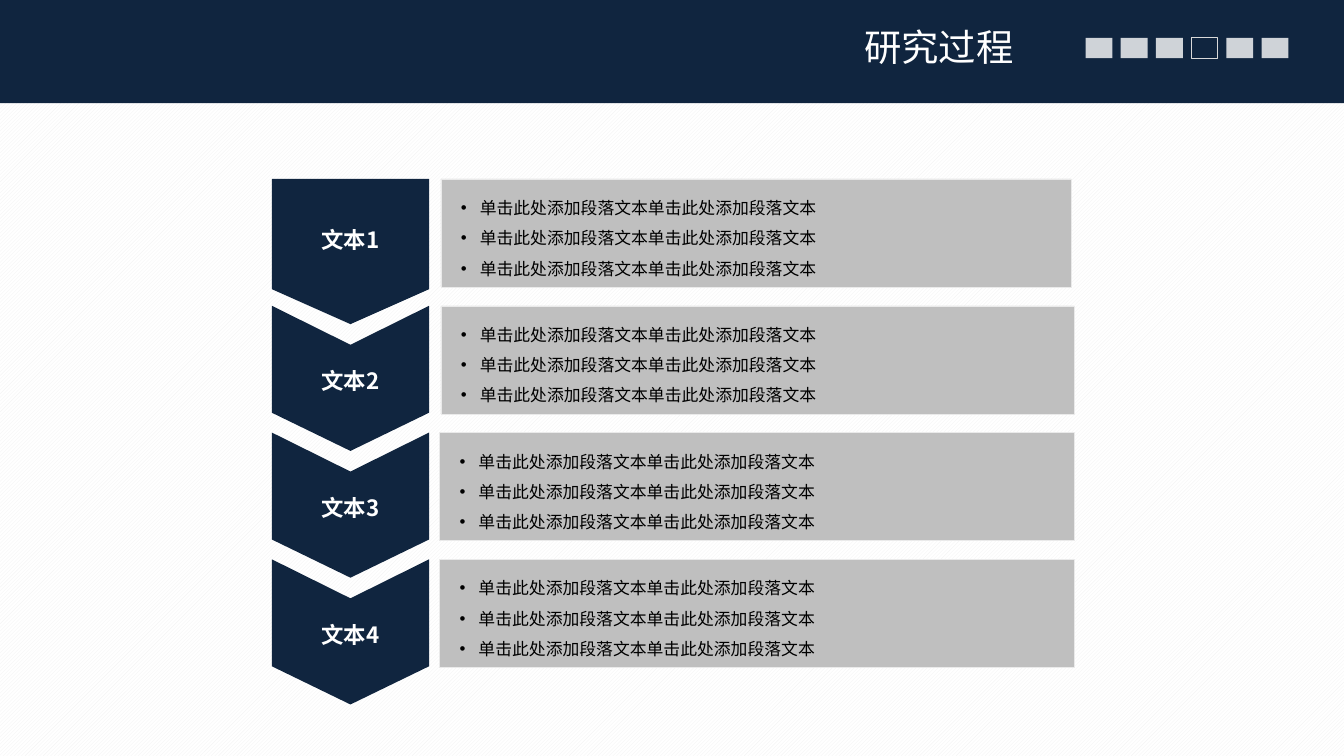
"""Build a research-process slide with four chevron steps and bullet panels."""
from dataclasses import dataclass

from lxml import etree
from pptx import Presentation
from pptx import util as u
from pptx.dml.color import RGBColor
from pptx.enum import dml, shapes, text
from pptx.oxml.ns import qn

WIDTH = u.Inches(10)
HEIGHT = u.Emu(WIDTH * 9 // 16)


@dataclass(frozen=True)
class Theme:
    """Colours, font and type sizes."""
    navy: str = "10253F"
    panel: str = "BFBFBF"
    panel_edge: str = "EAEAEA"
    marker_edge: str = "D9D9D9"
    white: str = "FFFFFF"
    black: str = "000000"
    stripe: str = "F2F2F2"
    font: str = "Noto Sans CJK SC"
    title: float = 20
    label: float = 12
    body: float = 9


@dataclass(frozen=True)
class Area:
    """A rectangle in percent of the slide's width and height."""
    left: float
    top: float
    width: float
    height: float

    def place(self) -> tuple[int, int, int, int]:
        """Return left, top, width and height in slide units."""
        return across(self.left), down(self.top), across(self.width), down(self.height)


@dataclass(frozen=True)
class Step:
    """One labelled step with its bullet lines."""
    label: str
    lines: tuple[str, ...]
    panel_left: float = 32.7
    panel_width: float = 47.2
    notch: float = 5.16
    shoulder: float = 14.15
    bottom_inset: float = 0.05


THEME = Theme()
LINES = ("单击此处添加段落文本单击此处添加段落文本",) * 3
STEPS = (
    Step("文本1", LINES, 32.8, 46.9, notch=0, shoulder=14.58, bottom_inset=0.27),
    Step("文本2", LINES, 32.8, 47.1),
    Step("文本3", LINES),
    Step("文本4", LINES),
)
FIRST_ROW, ROW_PITCH = 23.68, 16.77
MARKERS, CURRENT_MARKER = 6, 3


def across(share: float) -> int:
    """Convert percent of the width to slide units."""
    return round(WIDTH * share / 100)


def down(share: float) -> int:
    """Convert percent of the height to slide units."""
    return round(HEIGHT * share / 100)


def colour(value: str) -> RGBColor:
    """Return a colour object."""
    return RGBColor.from_string(value)


def paint(shape, fill: str | None, edge: str | None = None, weight: float = 0.25,
          alpha: int | None = None) -> None:
    """Set fill, outline and opacity, without a shadow."""
    shape.shadow.inherit = False
    if fill:
        shape.fill.solid()
        shape.fill.fore_color.rgb = colour(fill)
        if alpha:
            solid = shape._element.spPr.find(qn("a:solidFill"))
            etree.SubElement(solid[0], qn("a:alpha"), val=str(alpha * 1000))
    else:
        shape.fill.background()
    if edge:
        shape.line.color.rgb = colour(edge)
        shape.line.width = u.Pt(weight)
    else:
        shape.line.fill.background()


def style(para, size: float, shade: str, bold: bool = False) -> None:
    """Format every run of a paragraph."""
    for span in para.runs:
        span.font.size, span.font.bold = u.Pt(size), bold
        span.font.name = THEME.font
        span.font.color.rgb = colour(shade)
        etree.SubElement(span.font._element, qn("a:ea"), typeface=THEME.font)


def inset(frame, left: float, top: float, right: float, bottom: float) -> None:
    """Set wrapping and the margins of a text frame in inches."""
    frame.word_wrap = True
    frame.margin_left, frame.margin_top = u.Inches(left), u.Inches(top)
    frame.margin_right, frame.margin_bottom = u.Inches(right), u.Inches(bottom)


def add_box(page, area: Area):
    """Add a plain rectangle."""
    return page.shapes.add_shape(shapes.MSO_SHAPE.RECTANGLE, *area.place())


def add_header(page) -> None:
    """Draw the band, the progress markers and the title."""
    paint(add_box(page, Area(0, 0, 100, 13.65)), THEME.navy)
    for index in range(MARKERS):
        marker = add_box(page, Area(80.77 + 2.62 * index, 5.02, 2, 2.67))
        if index == CURRENT_MARKER:
            paint(marker, None, THEME.marker_edge, 0.5)
        else:
            paint(marker, THEME.white, alpha=80)
    title = page.shapes.add_textbox(*Area(35.5, 2.31, 40.9, 8.89).place())
    frame = title.text_frame
    inset(frame, 0.1, 0.05, 0.1, 0.05)
    frame.text = "研究过程"
    frame.paragraphs[0].alignment = text.PP_ALIGN.RIGHT
    style(frame.paragraphs[0], THEME.title, THEME.white)


def add_panel(page, step: Step, top: float) -> None:
    """Draw the grey panel with a step's bullets."""
    panel = add_box(page, Area(step.panel_left, top, step.panel_width, 14.3))
    paint(panel, THEME.panel, THEME.panel_edge)
    frame = panel.text_frame
    inset(frame, 0.15, 0.05, 0.1, 0.05)
    frame.vertical_anchor = text.MSO_ANCHOR.MIDDLE
    frame.text = "\n".join(step.lines)
    for para in frame.paragraphs:
        para.alignment = text.PP_ALIGN.LEFT
        para.line_spacing = u.Pt(16.2)
        props = para._p.get_or_add_pPr()
        props.set("marL", str(u.Inches(0.14)))
        props.set("indent", str(-u.Inches(0.14)))
        etree.SubElement(props, qn("a:buFont"), typeface="Arial")
        etree.SubElement(props, qn("a:buChar"), char="•")
        style(para, THEME.body, THEME.black)


def add_chevron(page, step: Step, top: float) -> None:
    """Draw the downward chevron with a step's label."""
    left, middle, right = 20.23, 26.08, 31.93
    outline = [(left, top), (right, top), (right, top + step.shoulder),
               (middle, top + 19.2), (left, top + step.shoulder)]
    if step.notch:
        outline.insert(1, (middle, top + step.notch))
    points = [(across(x), down(y)) for x, y in outline]
    builder = page.shapes.build_freeform(*points[0], scale=1.0)
    builder.add_line_segments(points[1:], close=True)
    chevron = builder.convert_to_shape()
    paint(chevron, THEME.navy)
    frame = chevron.text_frame
    inset(frame, 0.1, 0.05, 0.1, step.bottom_inset)
    frame.vertical_anchor = text.MSO_ANCHOR.MIDDLE
    frame.text = step.label
    para = frame.paragraphs[0]
    para.alignment, para.line_spacing = text.PP_ALIGN.CENTER, 1.2
    style(para, THEME.label, THEME.white, bold=True)


def main() -> None:
    """Assemble and save the deck."""
    deck = Presentation()
    deck.slide_width, deck.slide_height = WIDTH, HEIGHT
    page = deck.slides.add_slide(deck.slide_layouts[6])
    backdrop = page.background.fill
    backdrop.patterned()
    backdrop.pattern = dml.MSO_PATTERN.LIGHT_UPWARD_DIAGONAL
    backdrop.fore_color.rgb = colour(THEME.stripe)
    backdrop.back_color.rgb = colour(THEME.white)
    add_header(page)
    for row, step in enumerate(STEPS):
        top = FIRST_ROW + row * ROW_PITCH
        add_panel(page, step, top)
        add_chevron(page, step, top)
    deck.save("out.pptx")


if __name__ == "__main__":
    main()
